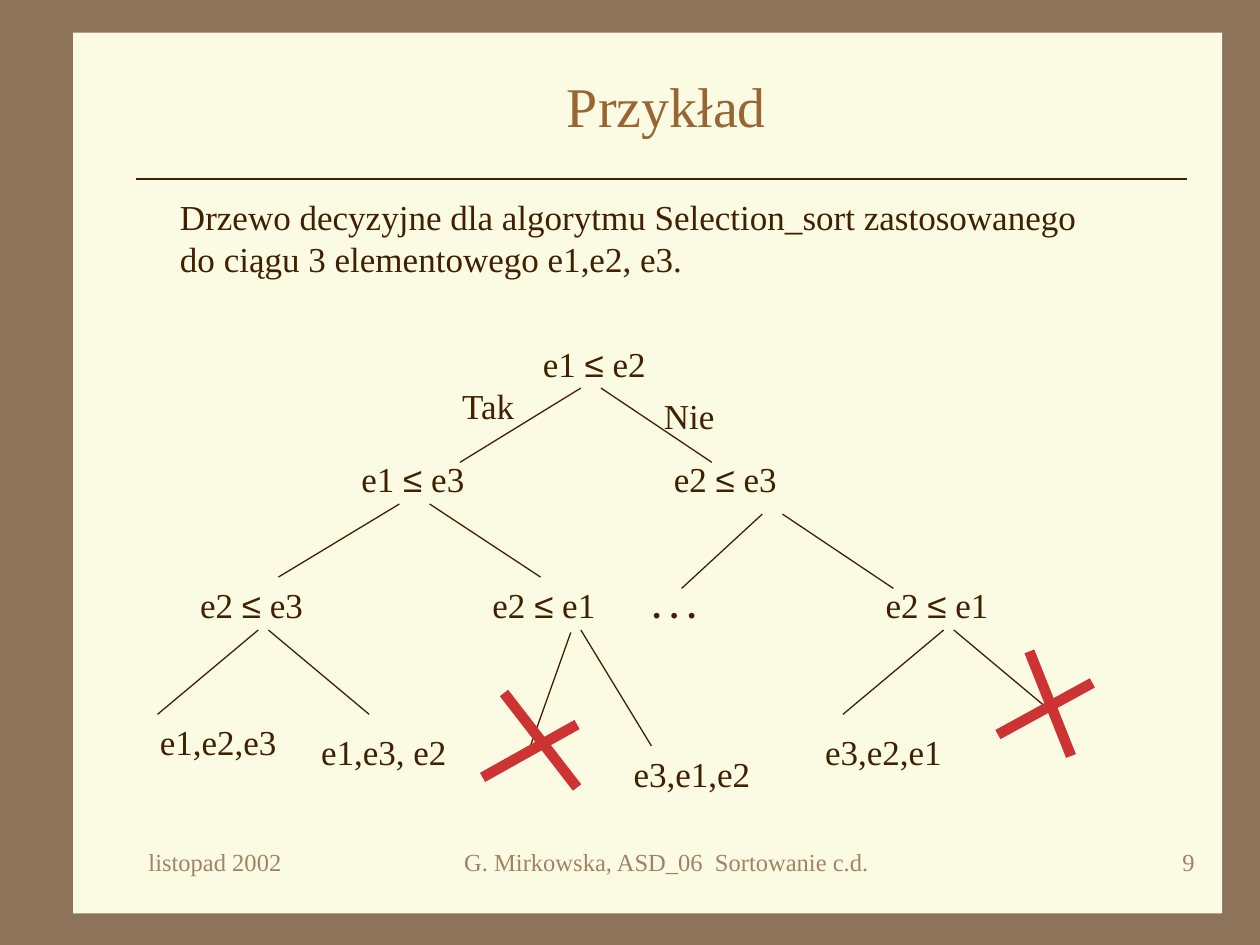
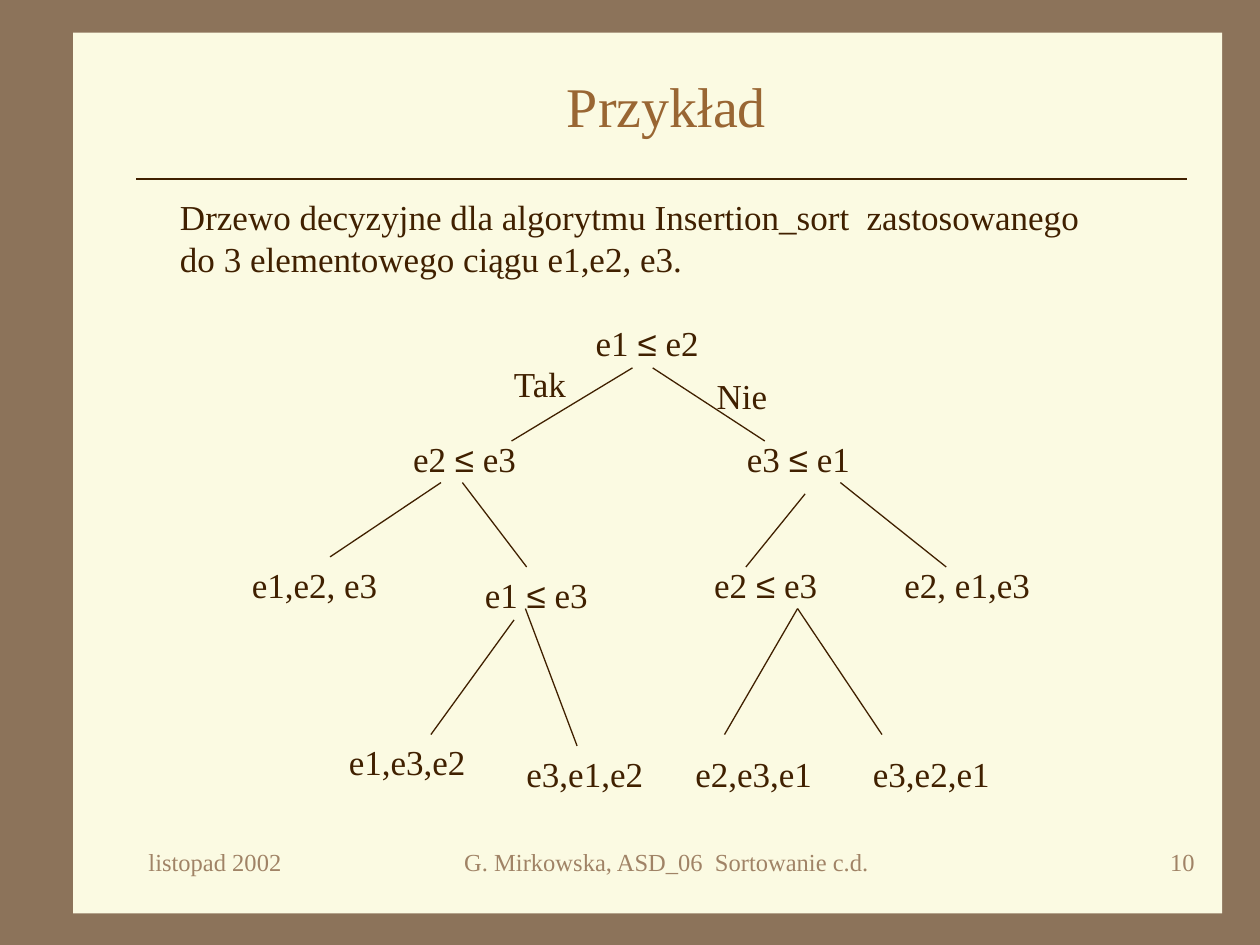
"""Two slides with decision trees of sorting algorithms."""
from dataclasses import dataclass

from pptx import Presentation
from pptx.dml.color import RGBColor
from pptx.enum import shapes, text
from pptx.oxml import ns, xmlchemy
from pptx.util import Inches, Pt


@dataclass(frozen=True)
class Theme:
    """Colours, fonts and sizes used on every slide."""
    back: str = "8C735A"
    page: str = "FBFAE2"
    ink: str = "402000"
    head: str = "996633"
    foot: str = "A08366"
    cross: str = "CD3333"
    font: str = "Times New Roman"
    sign: str = "Arial"
    big: int = 32
    body: int = 20
    small: int = 14
    thin: float = 0.75
    thick: float = 6


THEME = Theme()
LEFT, MID, RIGHT = text.PP_ALIGN.LEFT, text.PP_ALIGN.CENTER, text.PP_ALIGN.RIGHT
NODE = (1.44, 0.44)
LABEL = (0.96, 0.44)
NEAR = Inches(0.025)

FIRST = {
    "intro": "Drzewo decyzyjne dla algorytmu Selection_sort zastosowanego "
             "do ciągu 3 elementowego e1,e2, e3.",
    "number": "9",
    "nodes": [
        ("e1 ≤ e2", 4.21, 2.67),
        ("e1 ≤ e3", 2.77, 3.58), ("e2 ≤ e3", 5.25, 3.58),
        ("e2 ≤ e3", 1.49, 4.58), ("e2 ≤ e1", 3.81, 4.58),
        ("e2 ≤ e1", 6.93, 4.58),
        ("e1,e2,e3", 1.17, 5.67), ("e1,e3, e2", 2.45, 5.75),
        ("e3,e2,e1", 6.45, 5.75), ("e3,e1,e2", 4.93, 5.92),
    ],
    "edges": [
        (4.61, 3.08, 3.65, 3.67), (4.77, 3.08, 5.65, 3.67),
        (3.17, 4, 2.21, 4.58), (3.41, 4, 4.29, 4.58),
        (6.05, 4.08, 5.41, 4.67), (6.21, 4.08, 7.09, 4.67),
        (2.05, 5, 1.25, 5.67), (2.13, 5, 2.93, 5.67),
        (7.49, 5, 6.69, 5.67), (7.57, 5, 8.37, 5.67),
        (4.53, 5, 4.21, 5.92), (4.61, 5, 5.17, 5.92),
    ],
    "labels": [("Tak", 3.57, 3), ("Nie", 5.17, 3.08)],
}

SECOND = {
    "intro": "Drzewo decyzyjne dla algorytmu Insertion_sort  zastosowanego "
             "do 3 elementowego ciągu e1,e2, e3.",
    "number": "10",
    "nodes": [
        ("e1 ≤ e2", 4.63, 2.5),
        ("e2 ≤ e3", 3.18, 3.42), ("e3 ≤ e1", 5.83, 3.42),
        ("e1,e2, e3", 1.9, 4.42), ("e1 ≤ e3", 3.75, 4.5),
        ("e2 ≤ e3", 5.57, 4.42), ("e2, e1,e3", 7.08, 4.42),
        ("e1,e3,e2", 2.67, 5.83), ("e3,e1,e2", 4.08, 5.92),
        ("e2,e3,e1", 5.42, 5.92), ("e3,e2,e1", 6.83, 5.92),
    ],
    "edges": [
        (5.02, 2.92, 4.06, 3.5), (5.18, 2.92, 6.07, 3.5),
        (3.5, 3.83, 2.62, 4.42), (3.67, 3.83, 4.18, 4.5),
        (6.39, 3.92, 5.92, 4.5), (6.67, 3.83, 7.51, 4.5),
        (4.08, 4.92, 3.42, 5.83), (4.17, 4.83, 4.58, 5.92),
        (6.33, 4.83, 5.75, 5.83), (6.33, 4.83, 7, 5.83),
    ],
    "labels": [("Tak", 3.98, 2.83), ("Nie", 5.59, 2.92)],
}

CROSSES = [
    (4, 5.5, 4.58, 6.25), (3.83, 6.17, 4.58, 5.75),
    (8.17, 5.17, 8.5, 6), (7.92, 5.83, 8.67, 5.42),
]


def write(slide, words, place, size=THEME.body, color=THEME.ink,
          align=LEFT, anchor=text.MSO_ANCHOR.TOP, bold=False):
    """Add a text box, with the comparison sign in its own font."""
    box = slide.shapes.add_textbox(*map(Inches, place))
    frame = box.text_frame
    frame.word_wrap = True
    frame.vertical_anchor = anchor
    para = frame.paragraphs[0]
    para.alignment = align
    for part in filter(None, words.partition("≤")):
        run = para.add_run()
        run.text = part
        font = run.font
        font.name = THEME.sign if part == "≤" else THEME.font
        font.size = Pt(size)
        font.bold = bold
        font.color.rgb = RGBColor.from_string(color)
    return box


def draw(slide, ends, color=THEME.ink, width=THEME.thin):
    """Add a straight line without shadow."""
    line = slide.shapes.add_connector(
        shapes.MSO_CONNECTOR.STRAIGHT, *map(Inches, ends))
    line.line.color.rgb = RGBColor.from_string(color)
    line.line.width = Pt(width)
    line._element.spPr.append(xmlchemy.OxmlElement("a:effectLst"))
    return line


def meets(x, y, box, side):
    """Tell whether a point lies at the middle of a box's top or bottom."""
    edge = box.top if side == 0 else box.top + box.height
    return abs(x - box.left - box.width / 2) < NEAR and abs(y - edge) < NEAR


def join(line, boxes):
    """Connect a line to the boxes whose side middles it touches."""
    for box in boxes:
        if meets(line.begin_x, line.begin_y, box, 2):
            line.begin_connect(box, 2)
        if meets(line.end_x, line.end_y, box, 0):
            line.end_connect(box, 0)


def frame(slide, number):
    """Add the background, page, title, rule and footers."""
    slide.background.fill.solid()
    slide.background.fill.fore_color.rgb = RGBColor.from_string(THEME.back)
    page = slide.shapes.add_shape(
        shapes.MSO_SHAPE.RECTANGLE, *map(Inches, (0.58, 0.26, 9.12, 6.99)))
    page.shadow.inherit = False
    page.fill.solid()
    page.fill.fore_color.rgb = RGBColor.from_string(THEME.page)
    page.line.fill.background()
    draw(slide, (1.08, 1.42, 9.42, 1.42))
    write(slide, "Przykład", (1.08, 0.5, 8.42, 0.67), size=THEME.big,
          color=THEME.head, align=MID, anchor=text.MSO_ANCHOR.MIDDLE)
    feet = [("listopad 2002", 1.08, 2.08, LEFT),
            ("G. Mirkowska, ASD_06  Sortowanie c.d.", 3.08, 4.42, MID),
            (number, 7.5, 2.08, RIGHT)]
    for words, left, width, align in feet:
        write(slide, words, (left, 6.67, width, 0.5), size=THEME.small,
              color=THEME.foot, align=align)


def tree(slide, data):
    """Add the nodes, edges and branch labels of a decision tree."""
    boxes = [write(slide, words, (x, y, *NODE)) for words, x, y in data["nodes"]]
    for ends in data["edges"]:
        join(draw(slide, ends), boxes)
    for words, x, y in data["labels"]:
        write(slide, words, (x, y, *LABEL))


def build(deck, data):
    """Add one slide with its intro and tree."""
    slide = deck.slides.add_slide(deck.slide_layouts[6])
    frame(slide, data["number"])
    write(slide, data["intro"], (1.33, 1.5, 7.58, 0.77))
    tree(slide, data)
    return slide


def main():
    """Build and save the deck."""
    deck = Presentation()
    deck.slide_width, deck.slide_height = Inches(10), Inches(7.5)
    first = build(deck, FIRST)
    write(first, ". . .", (5.08, 4.58, 0.72, 0.44), bold=True)
    for ends in CROSSES:
        draw(first, ends, color=THEME.cross, width=THEME.thick)
    build(deck, SECOND)
    deck.save("out.pptx")


if __name__ == "__main__":
    main()
